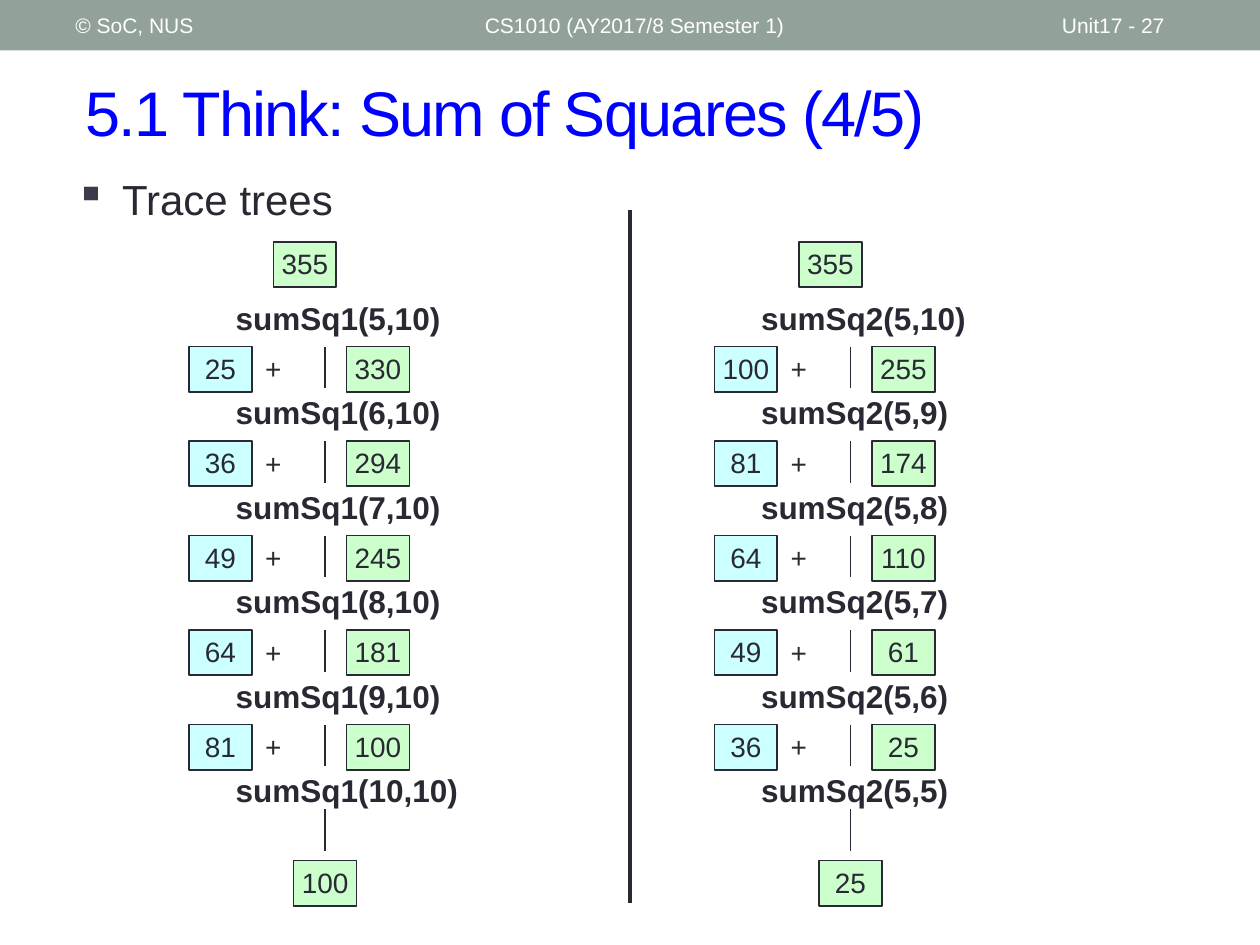
from lxml import etree
from pptx import Presentation
from pptx.dml.color import RGBColor
from pptx.enum.shapes import MSO_CONNECTOR, MSO_SHAPE
from pptx.enum.text import MSO_ANCHOR, MSO_AUTO_SIZE, PP_ALIGN
from pptx.oxml.ns import qn
from pptx.util import Inches, Pt

STRAIGHT = MSO_CONNECTOR.STRAIGHT
RECTANGLE = MSO_SHAPE.RECTANGLE
TOP, MIDDLE = MSO_ANCHOR.TOP, MSO_ANCHOR.MIDDLE
GROW = MSO_AUTO_SIZE.SHAPE_TO_FIT_TEXT
LEFT, CENTER = PP_ALIGN.LEFT, PP_ALIGN.CENTER

BAND = RGBColor(0x93, 0xA2, 0x99)
WHITE = RGBColor(0xFF, 0xFF, 0xFF)
BLUE = RGBColor(0x00, 0x00, 0xFF)
INK = RGBColor(0x29, 0x29, 0x34)
BULLET = RGBColor(0x3B, 0x3B, 0x4B)
GREEN = RGBColor(0xCC, 0xFF, 0xCC)
CYAN = RGBColor(0xCC, 0xFF, 0xFF)

STEP = 0.75
BOX_W, BOX_H = 0.5, 0.36
TIGHT = 0.04

HEADER = [("CS1010 (AY2017/8 Semester 1)", 3.75, 4.5),
          ("Unit17 - 27", 8.33, 1.17),
          ("© SoC, NUS", 0.5, 3.17)]

# Each step: the call, the square it adds, the result of the next call
SUM_UP = [("sumSq1(5,10)", 25, 330), ("sumSq1(6,10)", 36, 294),
          ("sumSq1(7,10)", 49, 245), ("sumSq1(8,10)", 64, 181),
          ("sumSq1(9,10)", 81, 100)]
SUM_DOWN = [("sumSq2(5,10)", 100, 255), ("sumSq2(5,9)", 81, 174),
            ("sumSq2(5,8)", 64, 110), ("sumSq2(5,7)", 49, 61),
            ("sumSq2(5,6)", 36, 25)]


def write(shape, text, size, color=INK, bold=False, align=LEFT, anchor=TOP):
    frame = shape.text_frame
    frame.word_wrap = True
    frame.vertical_anchor = anchor
    paragraph = frame.paragraphs[0]
    paragraph.alignment = align
    run = paragraph.add_run()
    run.text = text
    style = {"name": "Arial", "size": Pt(size), "bold": bold}
    for key, value in style.items():
        setattr(run.font, key, value)
    run.font.color.rgb = color
    return paragraph


def tighten(shape):
    """Give the shape narrow margins and let it grow with its text."""
    frame = shape.text_frame
    for side in ("left", "top", "right", "bottom"):
        setattr(frame, f"margin_{side}", Inches(TIGHT))
    frame.auto_size = GROW


def add_text(shapes, text, left, top, width, height, size, **style):
    label = shapes.add_textbox(Inches(left), Inches(top), Inches(width), Inches(height))
    return label, write(label, text, size, **style)


def add_tight_text(shapes, *args, **style):
    label, _ = add_text(shapes, *args, **style)
    tighten(label)


def add_rectangle(shapes, left, top, width, height, fill):
    rectangle = shapes.add_shape(RECTANGLE, Inches(left), Inches(top),
                                 Inches(width), Inches(height))
    rectangle.shadow.inherit = False
    rectangle.fill.solid()
    rectangle.fill.fore_color.rgb = fill
    rectangle.line.fill.background()
    return rectangle


def add_value(shapes, value, left, top, fill):
    box = add_rectangle(shapes, left, top, BOX_W, BOX_H, fill)
    box.line.color.rgb = INK
    box.line.width = Pt(1)
    write(box, str(value), 16, align=CENTER)
    tighten(box)


def add_vertical(shapes, x, top, bottom, weight=1):
    line = shapes.add_connector(STRAIGHT, Inches(x), Inches(top), Inches(x), Inches(bottom))
    line.line.color.rgb = INK
    line.line.width = Pt(weight)
    etree.SubElement(line._element.spPr, qn("a:effectLst"))


def add_bullet(paragraph):
    properties = paragraph._p.get_or_add_pPr()
    properties.set("marL", str(Inches(0.37)))
    properties.set("indent", str(-Inches(0.37)))
    color = etree.SubElement(properties, qn("a:buClr"))
    etree.SubElement(color, qn("a:srgbClr"), val=str(BULLET))
    etree.SubElement(properties, qn("a:buChar"), char="▪")


def add_heading(shapes):
    add_rectangle(shapes, 0, 0, 10, 0.4, BAND)
    _, title = add_text(shapes, "5.1 Think: Sum of Squares (4/5)", 0.58, 0.42, 9.17, 0.92,
                        36, color=BLUE, anchor=MIDDLE)
    title.runs[0]._r.get_or_add_rPr().set("spc", "-100")
    for text, left, width in HEADER:
        add_text(shapes, text, left, 0.02, width, 0.36, 12, color=WHITE, anchor=MIDDLE)
    _, topic = add_text(shapes, "Trace trees", 0.5, 1.33, 2.75, 0.59, 24)
    add_bullet(topic)


def add_trace_tree(shapes, left, total, steps, base_call):
    """Draw calls downwards from the total, ending at the base case."""
    call_x, branch_x = left + 0.33, left + 1.08
    add_value(shapes, total, left + 0.67, 1.92, GREEN)
    for row, (call, square, result) in enumerate(steps):
        call_y = 2.33 + row * STEP
        sum_y = 2.75 + row * STEP
        add_tight_text(shapes, call, call_x, call_y, 2.33, 0.38, 18, bold=True)
        add_vertical(shapes, branch_x, sum_y, sum_y + 0.33)
        add_value(shapes, square, left, sum_y, CYAN)
        add_tight_text(shapes, "+", left + 0.42, sum_y, BOX_W, 0.35, 16, align=CENTER)
        add_value(shapes, result, left + 1.25, sum_y, GREEN)
    add_tight_text(shapes, base_call, call_x, 2.33 + len(steps) * STEP, 2.42, 0.38,
                   18, bold=True)
    add_vertical(shapes, branch_x, 6.42, 6.75)
    base_result = steps[-1][2]
    add_value(shapes, base_result, left + 0.83, 6.83, GREEN)


def main():
    deck = Presentation()
    deck.slide_width, deck.slide_height = Inches(10), Inches(7.5)
    shapes = deck.slides.add_slide(deck.slide_layouts[6]).shapes
    add_heading(shapes)
    add_trace_tree(shapes, 1.5, 355, SUM_UP, "sumSq1(10,10)")
    add_trace_tree(shapes.add_group_shape().shapes, 5.67, 355, SUM_DOWN, "sumSq2(5,5)")
    add_vertical(shapes, 5, 1.67, 7.17, weight=2.5)
    deck.save("out.pptx")


if __name__ == "__main__":
    main()
